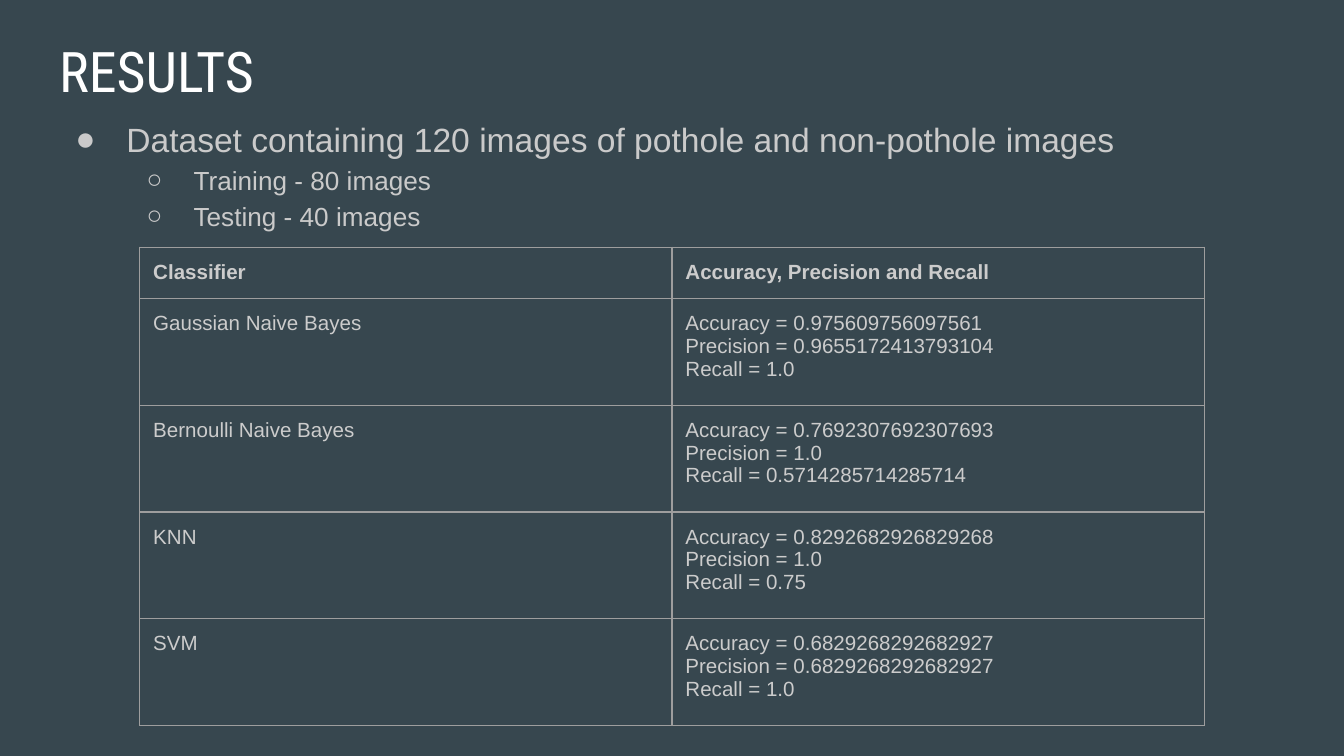
from lxml.etree import SubElement
from pptx import Presentation
from pptx.dml.color import RGBColor
from pptx.enum.text import MSO_ANCHOR, MSO_AUTO_SIZE, PP_ALIGN
from pptx.oxml.ns import qn
from pptx.util import Inches, Pt

BACKGROUND, WHITE = "37474F", "FFFFFF"
LIST_GREY, TABLE_GREY, BORDER_GREY = "CACACA", "CCCCCC", "9E9E9E"
MARGIN = 0.1

# text, level, size, bullet, left indent, hanging indent
DATASET = [
    ("Dataset containing 120 images of pothole and non-pothole images", 0, 18, "●", 0.5, 0.38),
    ("Training - 80 images", 1, 14, "○", 1, 0.35),
    ("Testing - 40 images", 1, 14, "○", 1, 0.35),
]
HEADER = ("Classifier", "Accuracy, Precision and Recall")
MEASURES = ("Accuracy", "Precision", "Recall")
SCORES = {
    "Gaussian Naive Bayes": ("0.975609756097561", "0.9655172413793104", "1.0"),
    "Bernoulli Naive Bayes": ("0.7692307692307693", "1.0", "0.5714285714285714"),
    "KNN": ("0.8292682926829268", "1.0", "0.75"),
    "SVM": ("0.6829268292682927", "0.6829268292682927", "1.0"),
}


def color(value):
    return RGBColor.from_string(value)


def add_run(paragraph, text, size, font, fill, bold=False):
    run = paragraph.add_run()
    run.text = text
    run.font.size = Pt(size)
    run.font.name = font
    run.font.bold = bold
    run.font.color.rgb = color(fill)


def set_margins(holder):
    """Give a cell or text frame the same margin on all four sides."""
    holder.margin_left = holder.margin_right = Inches(MARGIN)
    holder.margin_top = holder.margin_bottom = Inches(MARGIN)


def next_paragraph(frame, index):
    """Use the paragraph a frame starts with, then add further ones."""
    return frame.paragraphs[0] if index == 0 else frame.add_paragraph()


def place_placeholder(placeholder, left, top, width, height):
    placeholder.left, placeholder.top = Inches(left), Inches(top)
    placeholder.width, placeholder.height = Inches(width), Inches(height)
    frame = placeholder.text_frame
    frame.word_wrap = True
    frame.auto_size = MSO_AUTO_SIZE.NONE
    frame.vertical_anchor = MSO_ANCHOR.TOP
    set_margins(frame)
    return frame


def add_title(slide, left, top, width, height):
    frame = place_placeholder(slide.shapes.title, left, top, width, height)
    paragraph = frame.paragraphs[0]
    paragraph.alignment = PP_ALIGN.LEFT
    add_run(paragraph, "RESULTS", 30, "Roboto Condensed", WHITE)


def set_bullet(paragraph, character, indent, hanging):
    properties = paragraph._p.get_or_add_pPr()
    properties.set("marL", str(Inches(indent)))
    properties.set("indent", str(-Inches(hanging)))
    bullet_color = SubElement(properties, qn("a:buClr"))
    SubElement(bullet_color, qn("a:srgbClr"), val=LIST_GREY)
    SubElement(properties, qn("a:buFont"), typeface="Arial")
    SubElement(properties, qn("a:buChar"), char=character)


def add_dataset_list(slide, left, top, width, height):
    frame = place_placeholder(slide.placeholders[1], left, top, width, height)
    for index, (text, level, size, bullet, indent, hanging) in enumerate(DATASET):
        paragraph = next_paragraph(frame, index)
        paragraph.level = level
        paragraph.line_spacing = 1.15
        paragraph.space_before = paragraph.space_after = Pt(0)
        set_bullet(paragraph, bullet, indent, hanging)
        add_run(paragraph, text, size, "Arial", LIST_GREY)


def set_borders(cell):
    properties = cell._tc.get_or_add_tcPr()
    for side in ("a:lnL", "a:lnR", "a:lnT", "a:lnB"):
        line = SubElement(properties, qn(side), w=str(Pt(0.75)))
        fill = SubElement(line, qn("a:solidFill"))
        SubElement(fill, qn("a:srgbClr"), val=BORDER_GREY)


def fill_cell(cell, lines, bold):
    set_margins(cell)
    set_borders(cell)
    cell.fill.background()
    cell.vertical_anchor = MSO_ANCHOR.TOP
    for index, line in enumerate(lines):
        paragraph = next_paragraph(cell.text_frame, index)
        add_run(paragraph, line, 11, "Arial", TABLE_GREY, bold)


def add_score_table(slide, left, top, width, height, header_height):
    rows = [[[heading] for heading in HEADER]]
    for classifier, scores in SCORES.items():
        results = [f"{measure} = {score}" for measure, score in zip(MEASURES, scores)]
        rows.append([[classifier], results])
    table = slide.shapes.add_table(
        len(rows), len(HEADER), Inches(left), Inches(top), Inches(width), Inches(height)
    ).table
    table.first_row = table.horz_banding = False
    for column in table.columns:
        column.width = Inches(width / len(HEADER))
    row_height = (height - header_height) / len(SCORES)
    for row_index, row in enumerate(rows):
        is_header = row_index == 0
        table.rows[row_index].height = Inches(header_height if is_header else row_height)
        for column_index, lines in enumerate(row):
            fill_cell(table.cell(row_index, column_index), lines, is_header)


def main():
    presentation = Presentation()
    presentation.slide_width = Inches(10)
    presentation.slide_height = Inches(10 * 9 / 16)
    slide = presentation.slides.add_slide(presentation.slide_layouts[1])
    slide.background.fill.solid()
    slide.background.fill.fore_color.rgb = color(BACKGROUND)
    add_title(slide, 0.34, 0.17, 9.32, 0.58)
    add_dataset_list(slide, 0.34, 0.74, 9.32, 4.66)
    add_score_table(slide, 1.04, 1.84, 7.92, 3.56, 0.38)
    presentation.save("out.pptx")


if __name__ == "__main__":
    main()
